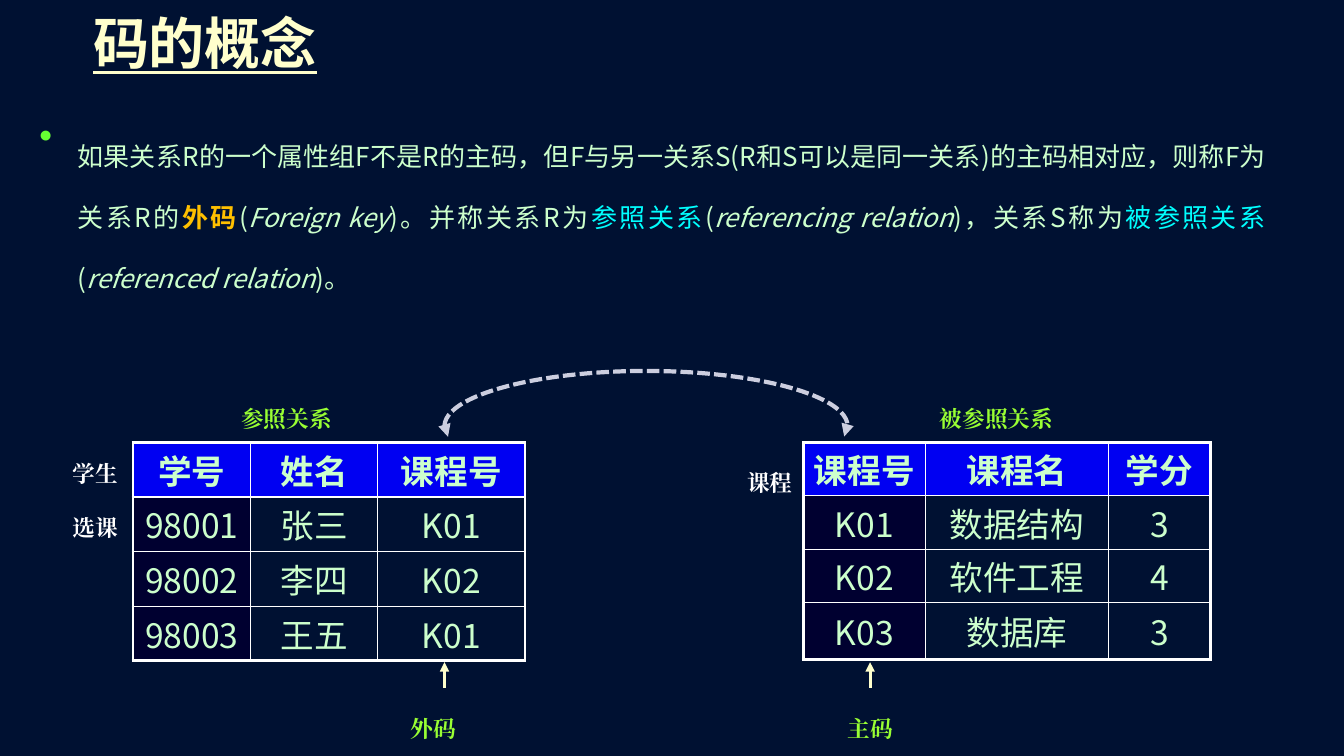
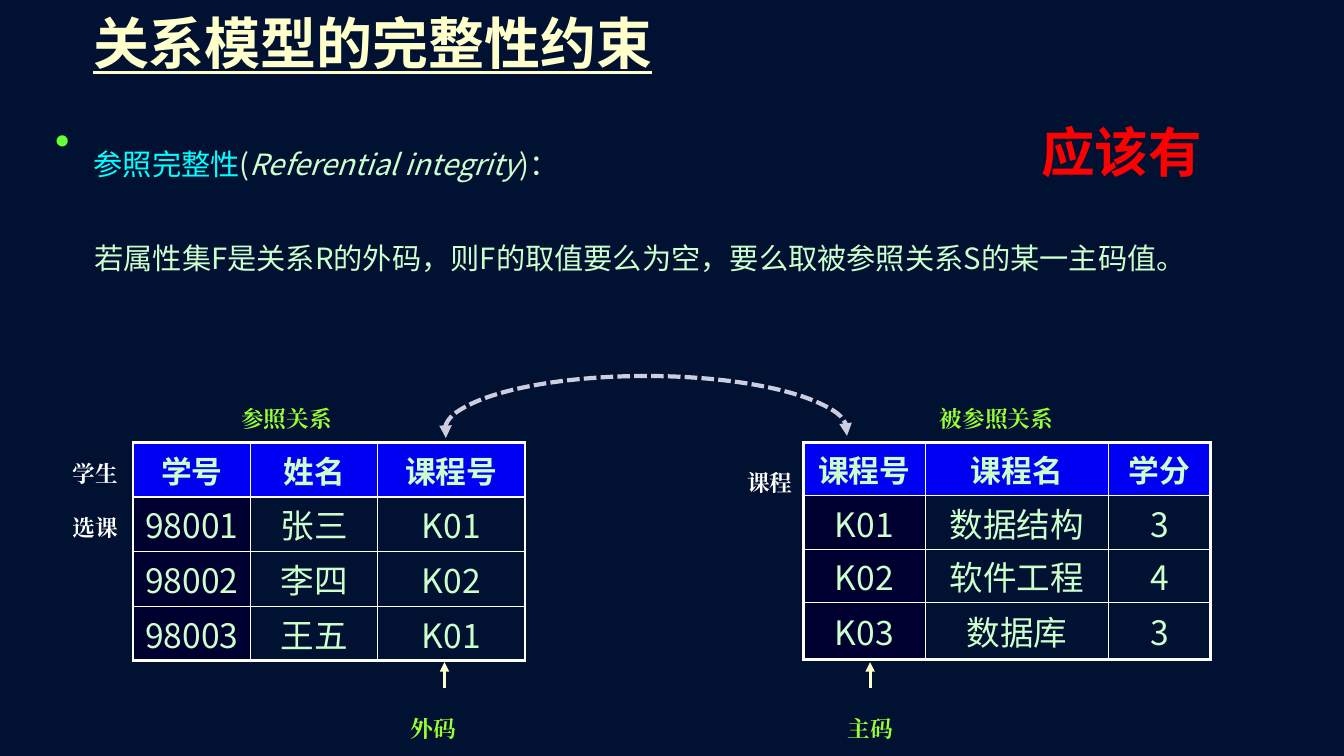
"""Build two slides on foreign keys and referential integrity."""
from dataclasses import dataclass
from typing import Optional, Sequence

from lxml import etree
from pptx import Presentation
from pptx.dml.color import RGBColor
from pptx.enum.dml import MSO_LINE
from pptx.enum.shapes import MSO_CONNECTOR, MSO_SHAPE
from pptx.enum.text import MSO_ANCHOR, PP_ALIGN
from pptx.oxml.ns import qn
from pptx.util import Pt

ARC, STRAIGHT, DASHED = MSO_SHAPE.ARC, MSO_CONNECTOR.STRAIGHT, MSO_LINE.SQUARE_DOT
TOP, MIDDLE = MSO_ANCHOR.TOP, MSO_ANCHOR.MIDDLE
LEFT, CENTER, JUSTIFY = PP_ALIGN.LEFT, PP_ALIGN.CENTER, PP_ALIGN.JUSTIFY

SANS, SERIF = "Noto Sans CJK SC", "Times New Roman"
NAVY, HEADER_BLUE, KEY_NAVY = "001132", "0000F2", "000030"
CREAM, MINT, CYAN, GOLD = "FFFFCC", "CCFFCC", "00FFFF", "FFC000"
LIME, BULLET_GREEN, WHITE, RED, LILAC = "99FF33", "66FF33", "FFFFFF", "FF0000", "CCCEDF"
OUTER_BORDER, INNER_BORDER = 2.25, 1
LOWERED_LINE = 1.37
HANGING = 27.4


@dataclass(frozen=True)
class Span:
    text: str
    color: Optional[str] = None
    bold: Optional[bool] = None
    italic: bool = False


@dataclass(frozen=True)
class Para:
    spans: Sequence[Span]
    bullet: bool = False
    margin: float = 0


@dataclass(frozen=True)
class Box:
    left: float
    top: float
    width: float
    height: float


@dataclass(frozen=True)
class Relation:
    left: float
    columns: Sequence[float]
    heights: Sequence[float]
    rows: Sequence[Sequence[str]]


@dataclass(frozen=True)
class Caption:
    text: str
    box: Box
    color: str = LIME
    wrap: bool = False


@dataclass(frozen=True)
class KeyPointer:
    caption: Caption
    arrow_x: float


@dataclass(frozen=True)
class Lesson:
    title: str
    title_width: float
    body: Sequence[Para]
    body_box: Box
    body_size: float
    header_size: float
    arc_top: float
    arc_angles: Sequence[float]
    remark: Optional[str] = None


RELATIONS = (
    Relation(95, (84.2, 90.7, 105.1), (39,) * 4,
             (("学号", "姓名", "课程号"), ("98001", "张三", "K01"),
              ("98002", "李四", "K02"), ("98003", "王五", "K01"))),
    Relation(573.8, (87.1, 131, 72.7), (38.2, 38.2, 38.2, 40.3),
             (("课程号", "课程名", "学分"), ("K01", "数据结构", "3"),
              ("K02", "软件工程", "4"), ("K03", "数据库", "3"))),
)
CAPTIONS = (
    Caption("参照关系", Box(147.6, 270, 114, 34)),
    Caption("被参照关系", Box(640.8, 270, 142, 34)),
    Caption("学生选课", Box(51, 309.6, 34, 135), WHITE, True),
    Caption("课程", Box(532.8, 316, 34, 68), WHITE, True),
)
KEY_POINTERS = (
    KeyPointer(Caption("外码", Box(281.5, 491.4, 56, 34)), 317.5),
    KeyPointer(Caption("主码", Box(593.5, 491.4, 56, 34)), 621.5),
)
LESSONS = (
    Lesson("码的概念", 172.8, (
        Para((
            Span("如果关系R的一个属性组F不是R的主码，但F与另一关系S(R和S可以是同一关系)"
                 "的主码相对应，则称F为关系R的"),
            Span("外码", GOLD, True), Span("("), Span("Foreign key", italic=True),
            Span(")。并称关系R为"), Span("参照关系", CYAN), Span("("),
            Span("referencing relation", italic=True), Span(")，关系S称为"),
            Span("被参照关系", CYAN), Span("("),
            Span("referenced relation", italic=True), Span(")。")), True, HANGING),
    ), Box(21, 75, 890, 193.7), 32, 24, 265, (106.2, 1.76)),
    Lesson("关系模型的完整性约束", 415.4, (
        Para((Span("参照完整性", CYAN), Span("("),
              Span("Referential integrity", italic=True), Span(")：")), True, HANGING),
        Para((Span("若属性集F是关系R的外码，则F的取值要么为空，要么取被参照关系S的某一主码值。"),),
             margin=28),
    ), Box(32.4, 76.3, 873.4, 193.7), 36, 22, 268.6, (106.87, 0.75), "应该有"),
)


def rgb(value: str) -> RGBColor:
    """Turn a hex string into a colour."""
    return RGBColor.from_string(value)


def sub(parent, tag: str, **attributes: str):
    """Append a drawing element and return it."""
    return etree.SubElement(parent, qn(tag), attributes)


def points(box: Box) -> tuple:
    """Convert a box to lengths."""
    return Pt(box.left), Pt(box.top), Pt(box.width), Pt(box.height)


def write(frame, paras: Sequence[Para], *, size: float, color: str, font: str = SANS,
          bold: bool = False, underline: bool = False, lowered: bool = False,
          shadow: bool = False, align=LEFT, space_after: float = 0) -> None:
    """Fill a text frame with formatted paragraphs."""
    for index, para in enumerate(paras):
        paragraph = frame.add_paragraph() if index else frame.paragraphs[0]
        paragraph.alignment = align
        if lowered:
            paragraph.line_spacing = Pt(round(size * LOWERED_LINE, 1))
        if index < len(paras) - 1:
            paragraph.space_after = Pt(space_after)
        properties = paragraph._p.get_or_add_pPr()
        if para.margin:
            properties.set("marL", str(Pt(para.margin)))
            properties.set("indent", str(Pt(-para.margin if para.bullet else 0)))
        if para.bullet:
            sub(sub(properties, "a:buClr"), "a:srgbClr", val=BULLET_GREEN)
            sub(properties, "a:buSzPct", val="85000")
            sub(properties, "a:buChar", char="•")
        for span in para.spans:
            run = paragraph.add_run()
            run.text = span.text
            run.font.size = Pt(size)
            run.font.bold = bold if span.bold is None else span.bold
            run.font.italic = span.italic
            run.font.underline = underline
            run.font.color.rgb = rgb(span.color or color)
            style = run._r.get_or_add_rPr()
            if lowered:
                style.set("baseline", "-25000")
            if shadow:
                cast = sub(sub(style, "a:effectLst"), "a:outerShdw",
                           dist=str(Pt(2.5)), dir="2700000", algn="tl")
                sub(cast, "a:srgbClr", val="000000")
            run.font.name = font
            sub(style, "a:ea", typeface=font)


def add_text(slide, box: Box, paras: Sequence[Para], *, wrap: bool = True,
             inset: Sequence[float] = (0, 0), anchor=TOP, **style):
    """Add a text box and return it."""
    shape = slide.shapes.add_textbox(*points(box))
    frame = shape.text_frame
    frame.word_wrap = wrap
    frame.vertical_anchor = anchor
    frame.margin_left = frame.margin_right = Pt(inset[0])
    frame.margin_top = frame.margin_bottom = Pt(inset[1])
    write(frame, paras, **style)
    return shape


def plain(text: str) -> Sequence[Para]:
    """Wrap a string as one paragraph of one span."""
    return (Para((Span(text),)),)


def add_border(cell, side: str, width: float) -> None:
    """Draw one white side of a cell."""
    line = sub(cell._tc.get_or_add_tcPr(), f"a:ln{side}", w=str(Pt(width)))
    sub(sub(line, "a:solidFill"), "a:srgbClr", val=WHITE)


def add_relation(slide, relation: Relation, header_size: float) -> None:
    """Draw one relation as a table with its key column shaded."""
    box = Box(relation.left, 316, sum(relation.columns), sum(relation.heights))
    row_count, column_count = len(relation.rows), len(relation.columns)
    table = slide.shapes.add_table(row_count, column_count, *points(box)).table
    table.first_row = table.horz_banding = False
    for column, width in zip(table.columns, relation.columns):
        column.width = Pt(width)
    for row, height in zip(table.rows, relation.heights):
        row.height = Pt(height)
    for r, values in enumerate(relation.rows):
        for c, value in enumerate(values):
            cell = table.cell(r, c)
            cell.margin_left = cell.margin_right = cell.margin_top = cell.margin_bottom = 0
            cell.vertical_anchor = MIDDLE
            edges = {"L": c == 0, "R": c == column_count - 1,
                     "T": r == 0, "B": r == row_count - 1}
            for side, outer in edges.items():
                add_border(cell, side, OUTER_BORDER if outer else INNER_BORDER)
            cell.fill.solid()
            cell.fill.fore_color.rgb = rgb(
                HEADER_BLUE if r == 0 else KEY_NAVY if c == 0 else NAVY)
            write(cell.text_frame, plain(value), size=24 if r else header_size,
                  color=MINT, bold=r == 0, align=CENTER)


def add_caption(slide, caption: Caption):
    """Draw a short bold label and return it."""
    return add_text(slide, caption.box, plain(caption.text), wrap=caption.wrap, size=28,
                    color=caption.color, font=SERIF, bold=True, lowered=True, align=CENTER)


def style_line(shape, color: str, width: float, *ends: str) -> None:
    """Colour a line and put arrowheads on the given ends."""
    shape.line.color.rgb = rgb(color)
    shape.line.width = Pt(width)
    for end in ends:
        sub(shape._element.spPr.find(qn("a:ln")), f"a:{end}", type="triangle")


def add_key_pointer(slide, pointer: KeyPointer) -> None:
    """Draw a key label and the arrow up to its column."""
    box = pointer.caption.box
    label = add_caption(slide, pointer.caption)
    x = Pt(pointer.arrow_x)
    arrow = slide.shapes.add_connector(STRAIGHT, x, Pt(box.top), x, Pt(473))
    if pointer.arrow_x == box.left + box.width / 2:
        arrow.begin_connect(label, 0)
    style_line(arrow, CREAM, 2.25, "tailEnd")
    sub(arrow._element.spPr, "a:effectLst")


def add_reference_arc(slide, top: float, angles: Sequence[float]) -> None:
    """Draw the dashed arc between the two course number columns."""
    arc = slide.shapes.add_shape(ARC, *points(Box(317.5, top, 288, 79.2)))
    arc.adjustments[0], arc.adjustments[1] = angles
    arc.shadow.inherit = False
    arc.fill.background()
    arc.line.dash_style = DASHED
    style_line(arc, LILAC, 3, "headEnd", "tailEnd")


def add_lesson(deck, lesson: Lesson) -> None:
    """Build one slide."""
    slide = deck.slides.add_slide(deck.slide_layouts[6])
    slide.background.fill.solid()
    slide.background.fill.fore_color.rgb = rgb(NAVY)
    add_text(slide, Box(60.5, 0, lesson.title_width, 60), plain(lesson.title), wrap=False,
             inset=(6, 6), anchor=MIDDLE, size=40, color=CREAM, bold=True,
             underline=True, shadow=True)
    add_text(slide, lesson.body_box, lesson.body, inset=(7.2, 3.6), size=lesson.body_size,
             color=MINT, lowered=True, align=JUSTIFY, space_after=18.5)
    for relation in RELATIONS:
        add_relation(slide, relation, lesson.header_size)
    for pointer in KEY_POINTERS:
        add_key_pointer(slide, pointer)
    for caption in CAPTIONS:
        add_caption(slide, caption)
    add_reference_arc(slide, lesson.arc_top, lesson.arc_angles)
    if lesson.remark:
        add_text(slide, Box(676.8, 36.7, 249, 75), plain(lesson.remark), wrap=False,
                 inset=(7.2, 3.6), size=66, color=RED, bold=True, lowered=True, align=CENTER)


def main() -> None:
    """Build and save the deck."""
    deck = Presentation()
    deck.slide_width, deck.slide_height = Pt(960), Pt(540)
    for lesson in LESSONS:
        add_lesson(deck, lesson)
    deck.save("out.pptx")


if __name__ == "__main__":
    main()
